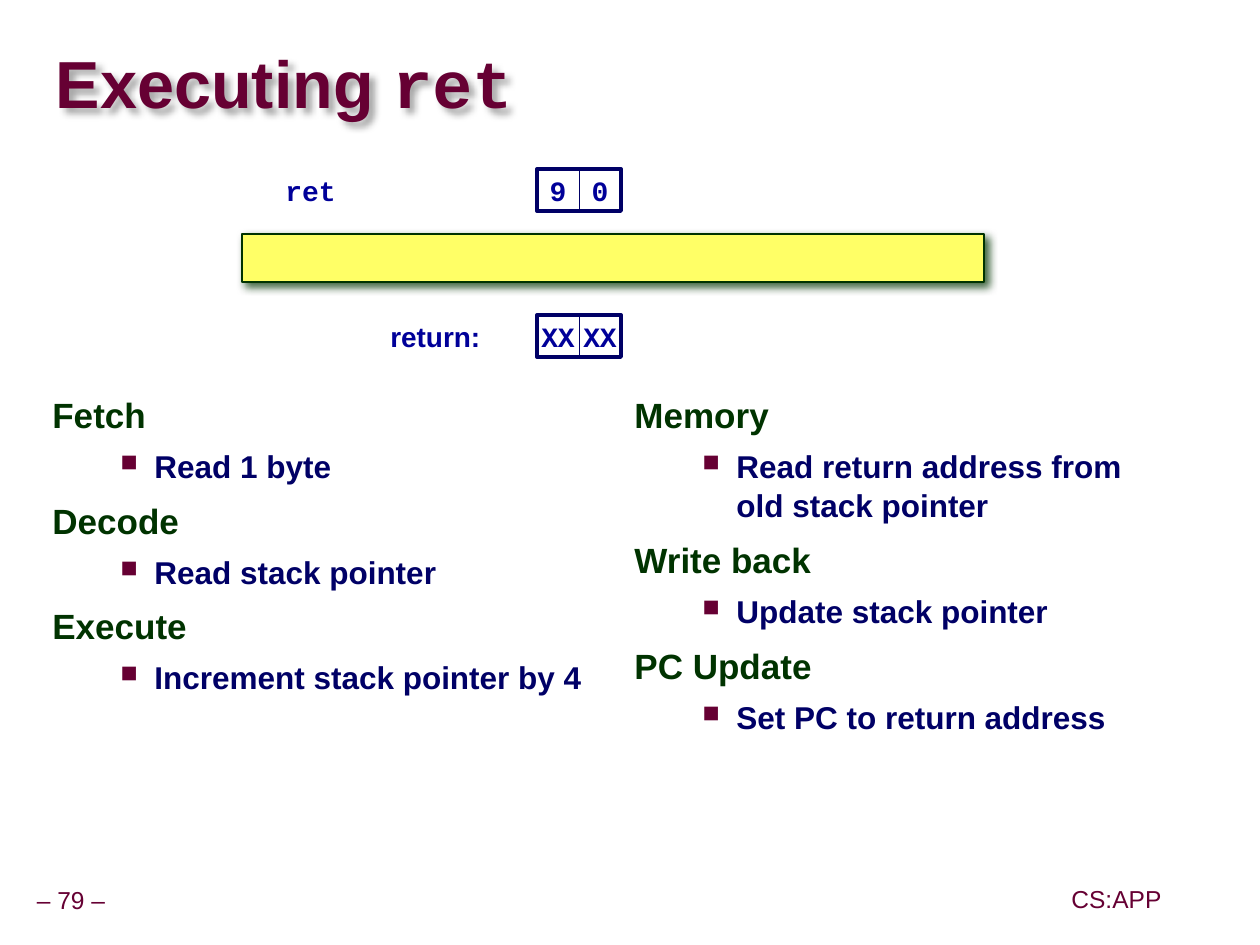
from lxml import etree
from pptx import Presentation, util as u
from pptx.dml.color import RGBColor
from pptx.enum import shapes, text
from pptx.oxml.ns import qn

PX = 914400 / 126
MAROON, GREEN, NAVY, BLUE = "660033", "003300", "000066", "000099"
SANS, MONO = "Arial", "Courier New"
LEFT, CENTER = text.PP_ALIGN.LEFT, text.PP_ALIGN.CENTER

TITLE = [("Executing ", SANS), ("ret", MONO)]
COLUMNS = [
    (40, [("Fetch", "Read 1 byte"),
          ("Decode", "Read stack pointer"),
          ("Execute", "Increment stack pointer by 4")]),
    (622, [("Memory", "Read return address from old stack pointer"),
           ("Write back", "Update stack pointer"),
           ("PC Update", "Set PC to return address")]),
]
# label, font, left, width, top of row, bytes
BYTE_ROWS = [
    ("ret", MONO, 273, 263, 169, ["9", "0"]),
    ("return:", SANS, 378, 154, 315, ["XX", "XX"]),
]
FOOTERS = [("– 79 –", 29, 84, 882), ("CS:APP", 1065, 103, 881)]
CELL_LEFT, CELL = 537, 42


def px(*lengths):
    return [u.Emu(round(length * PX)) for length in lengths]


def color(hex_code):
    return RGBColor.from_string(hex_code)


def style(font, size, hex_code, name=SANS, bold=True):
    font.size, font.name, font.bold = u.Pt(size), name, bold
    font.color.rgb = color(hex_code)


def set_frame(shape, inset_x, inset_y, wrap=True, anchor=text.MSO_ANCHOR.MIDDLE):
    frame = shape.text_frame
    frame.margin_left = frame.margin_right = u.Inches(inset_x)
    frame.margin_top = frame.margin_bottom = u.Inches(inset_y)
    frame.word_wrap, frame.vertical_anchor = wrap, anchor
    return frame


def write_line(frame, words, size, hex_code, name=SANS, bold=True, align=LEFT):
    para = frame.paragraphs[0]
    para.text, para.alignment = words, align
    style(para.font, size, hex_code, name, bold)
    return para


def add_rect(parent, place, fill, line, width):
    rect = parent.add_shape(shapes.MSO_SHAPE.RECTANGLE, *px(*place))
    rect.shadow.inherit = False
    if fill:
        rect.fill.solid()
        rect.fill.fore_color.rgb = color(fill)
    else:
        rect.fill.background()
    rect.line.color.rgb = color(line)
    rect.line.width = u.Pt(width)
    return rect


def add_shadow(shape, hex_code, alpha, blur, distance):
    """Cast a soft shadow to the lower right."""
    shape.shadow.inherit = False
    effects = shape.element.spPr.find(qn("a:effectLst"))
    shadow = etree.SubElement(effects, qn("a:outerShdw"), blurRad=str(u.Pt(blur)),
                              dist=str(u.Pt(distance)), dir="2700000", algn="ctr", rotWithShape="0")
    tint = etree.SubElement(shadow, qn("a:srgbClr"), val=hex_code)
    etree.SubElement(tint, qn("a:alpha"), val=str(alpha * 1000))


def add_bullet(para):
    props = para._p.get_or_add_pPr()
    props.set("marL", str(u.Inches(0.81)))
    props.set("indent", str(u.Inches(-0.27)))
    tint = etree.SubElement(props, qn("a:buClr"))
    etree.SubElement(tint, qn("a:srgbClr"), val=MAROON)
    etree.SubElement(props, qn("a:buSzPct"), val="75000")
    etree.SubElement(props, qn("a:buChar"), char="■")


def add_title(page):
    box = page.shapes.add_textbox(*px(56, 34, 1200, 107))
    para = set_frame(box, 0, 0).paragraphs[0]
    para.line_spacing = 0.87
    for words, name in TITLE:
        span = para.add_run()
        span.text = words
        style(span.font, 38, MAROON, name)
    add_shadow(box, "000000", 35, 4, 4)


def add_stages(page, left, stages):
    box = page.shapes.add_textbox(*px(left, 390, 562, 499))
    frame = set_frame(box, 0.1, 0.05, anchor=text.MSO_ANCHOR.TOP)
    for index, (stage, action) in enumerate(stages):
        heading = frame.add_paragraph() if index else frame.paragraphs[0]
        heading.text, heading.line_spacing = stage, 0.95
        heading.space_before = u.Pt(10 if index else 0)
        style(heading.font, 20, GREEN)
        item = frame.add_paragraph()
        item.text, item.line_spacing = action, 1.05
        item.space_before = u.Pt(5)
        add_bullet(item)
        style(item.font, 18, NAVY)


def add_byte_row(page, label, name, left, width, top, values):
    box = page.shapes.add_textbox(*px(left, top, width, CELL))
    write_line(set_frame(box, 0.1, 0.05), label, 16, BLUE, name)
    group = page.shapes.add_group_shape().shapes
    for index, value in enumerate(values):
        place = (CELL_LEFT + index * CELL, top, CELL, CELL)
        cell = add_rect(group, place, "FFFFFF", NAVY, 0.5)
        write_line(set_frame(cell, 0, 0, wrap=False), value, 16, BLUE, MONO, align=CENTER)
    add_rect(group, (CELL_LEFT, top, CELL * len(values), CELL), None, NAVY, 2.25)


def main():
    deck = Presentation()
    deck.slide_width, deck.slide_height = px(1260, 945)
    page = deck.slides.add_slide(deck.slide_layouts[6])
    for words, left, width, top in FOOTERS:
        box = page.shapes.add_textbox(*px(left, top, width, 40))
        frame = set_frame(box, 0.05, 0.05, wrap=False)
        write_line(frame, words, 14, MAROON, bold=False, align=CENTER).line_spacing = 0.9
    add_title(page)
    for left, stages in COLUMNS:
        add_stages(page, left, stages)
    bar = add_rect(page.shapes, (242, 234, 742, 48), "FFFF66", GREEN, 1.5)
    add_shadow(bar, GREEN, 75, 5, 3)
    for row in BYTE_ROWS:
        add_byte_row(page, *row)
    deck.save("out.pptx")


if __name__ == "__main__":
    main()
